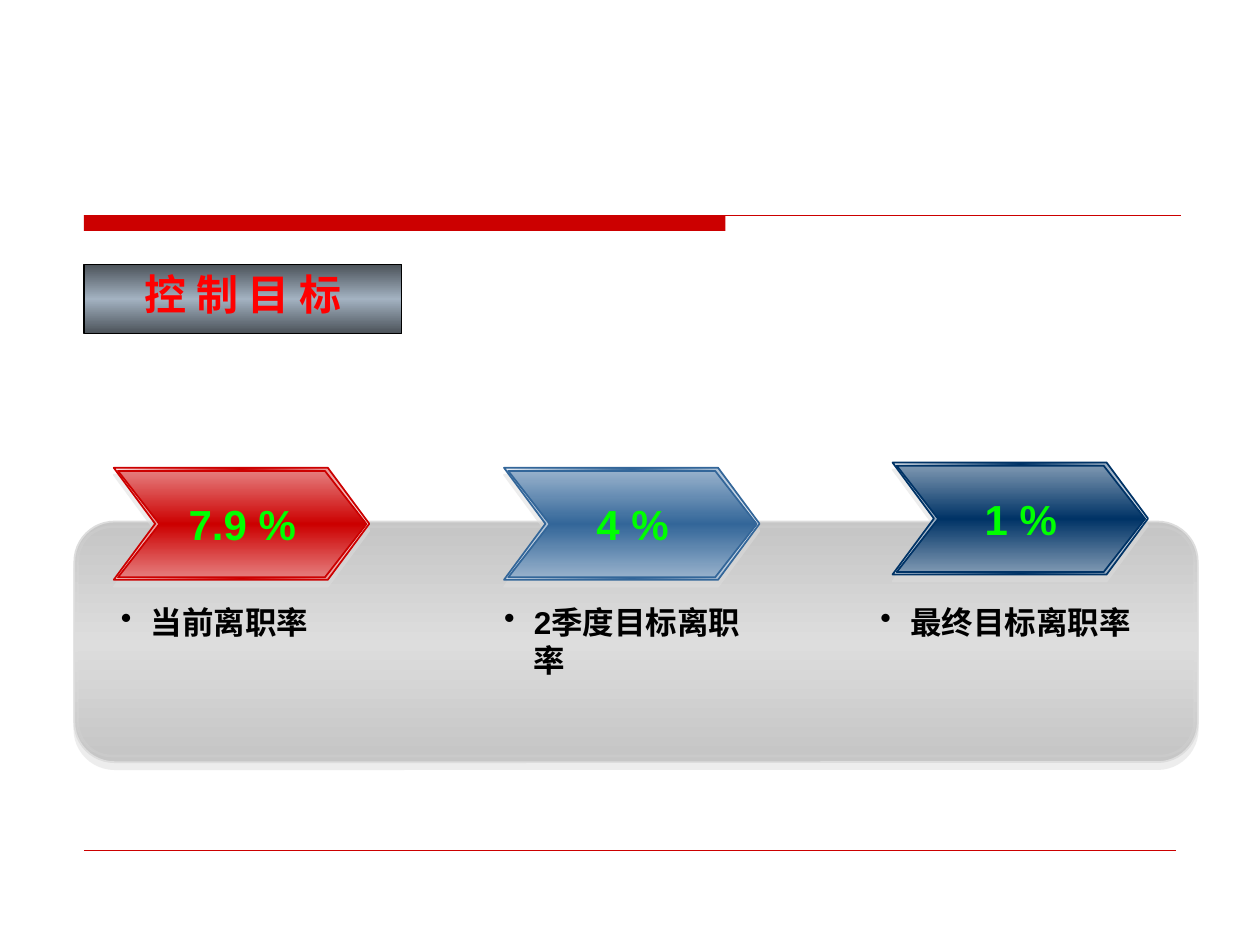
from copy import deepcopy
from typing import NamedTuple

from lxml.etree import SubElement
from pptx import Presentation
from pptx.dml.color import RGBColor
from pptx.enum.shapes import MSO_CONNECTOR, MSO_SHAPE
from pptx.enum.text import MSO_ANCHOR, MSO_AUTO_SIZE, PP_ALIGN
from pptx.oxml.ns import qn
from pptx.util import Pt

RED = RGBColor(0xCC, 0x00, 0x00)
BLUE = RGBColor(0x33, 0x66, 0x99)
NAVY = RGBColor(0x00, 0x33, 0x66)
BLACK = RGBColor(0x00, 0x00, 0x00)
TITLE_RED = RGBColor(0xFF, 0x00, 0x00)
RATE_GREEN = RGBColor(0x00, 0xFF, 0x00)
PANEL_EDGE = RGBColor(0xC6, 0xC6, 0xC6)
PANEL_MID = RGBColor(0xDD, 0xDD, 0xDD)
TITLE_EDGE = RGBColor(0x4B, 0x52, 0x59)
TITLE_MID = RGBColor(0xA3, 0xB2, 0xC1)


class Box(NamedTuple):
    left: float
    top: float
    width: float
    height: float


class Stage(NamedTuple):
    rate: str
    caption: str
    arrow_left: float
    arrow_top: float
    caption_left: float
    caption_width: float
    color: RGBColor
    tint: RGBColor
    rim: RGBColor


STAGES = [
    Stage("7.9 %", "当前离职率", 65, 267.3, 62, 138,
          RED, RGBColor(0xE5, 0x7D, 0x7D), RGBColor(0xFA, 0xE5, 0xE5)),
    Stage("4 %", "2季度目标离职率", 288, 267.3, 281, 158,
          BLUE, RGBColor(0x97, 0xB1, 0xCB), RGBColor(0xEA, 0xEF, 0xF5)),
    Stage("1 %", "最终目标离职率", 510, 264.3, 496, 176,
          NAVY, RGBColor(0x7D, 0x97, 0xB1), RGBColor(0xE5, 0xEA, 0xEF)),
]


def set_mirrored_gradient(shape, edge: RGBColor, middle: RGBColor, angle: int = 270) -> None:
    """Fill from edge to middle and back to edge; 270 runs from top to bottom."""
    shape.fill.gradient()
    shape.fill.gradient_angle = angle
    first, second = shape.fill.gradient_stops
    first.color.rgb, first.position = edge, 0
    second.color.rgb, second.position = middle, 0.5
    stop_list = shape._element.spPr.find(qn("a:gradFill")).find(qn("a:gsLst"))
    last = deepcopy(stop_list[0])
    last.set("pos", "100000")
    stop_list.append(last)


def set_line(shape, color: RGBColor, width: float) -> None:
    shape.line.color.rgb = color
    shape.line.width = Pt(width)


def add_alpha(color_element, percent: int) -> None:
    SubElement(color_element, qn("a:alpha"), val=str(percent * 1000))


def add_drop_shadow(shape) -> None:
    effects = shape._element.spPr.find(qn("a:effectLst"))
    shadow = SubElement(effects, qn("a:outerShdw"), dist=str(Pt(4)),
                        dir="5400000", algn="ctr", rotWithShape="0")
    add_alpha(SubElement(shadow, qn("a:srgbClr"), val=str(PANEL_MID)), 50)


def add_outline(shapes, preset: MSO_SHAPE, box: Box, adjustment: float):
    shape = shapes.add_shape(preset, *map(Pt, box))
    shape.adjustments[0] = adjustment
    shape.shadow.inherit = False
    return shape


def add_rule(shapes, left: float, right: float, y: float, width: float) -> None:
    rule = shapes.add_connector(MSO_CONNECTOR.STRAIGHT, Pt(left), Pt(y), Pt(right), Pt(y))
    set_line(rule, RED, width)
    SubElement(rule._element.spPr, qn("a:effectLst"))


def format_run(paragraph, font_name: str, size: float, color: RGBColor) -> None:
    font = paragraph.runs[0].font
    font.name, font.size, font.bold = font_name, Pt(size), True
    font.color.rgb = color


def set_centered_text(shape, text: str, font_name: str, color: RGBColor) -> None:
    frame = shape.text_frame
    frame.text = text
    frame.word_wrap = False
    frame.auto_size = MSO_AUTO_SIZE.NONE
    frame.vertical_anchor = MSO_ANCHOR.MIDDLE
    frame.paragraphs[0].alignment = PP_ALIGN.CENTER
    format_run(frame.paragraphs[0], font_name, 24, color)


def add_title(slide) -> None:
    title = slide.shapes.title
    title.left, title.top, title.width, title.height = map(Pt, Box(48, 151, 181.5, 39.6))
    set_mirrored_gradient(title, TITLE_EDGE, TITLE_MID)
    set_line(title, BLACK, 0.75)
    set_centered_text(title, "控 制 目 标", "DejaVu Sans", TITLE_RED)
    title.text_frame.paragraphs[0].line_spacing = 0.8


def add_header_bar(shapes) -> None:
    bar = shapes.add_shape(MSO_SHAPE.RECTANGLE, *map(Pt, Box(48, 123, 366.5, 9)))
    bar.shadow.inherit = False
    bar.fill.solid()
    bar.fill.fore_color.rgb = RED
    bar.line.fill.background()
    add_rule(shapes, 48, 674.7, 123.2, 0.75)


def add_panel(shapes) -> None:
    group = shapes.add_group_shape().shapes
    outer = add_outline(group, MSO_SHAPE.ROUNDED_RECTANGLE, Box(42.5, 298, 642, 137.5), 0.167)
    inner = add_outline(group, MSO_SHAPE.ROUNDED_RECTANGLE, Box(44.5, 301, 638, 131), 0.148)
    for layer, line_width in ((outer, 1), (inner, 1.5)):
        set_mirrored_gradient(layer, PANEL_EDGE, PANEL_MID)
        set_line(layer, PANEL_MID, line_width)
    add_drop_shadow(outer)
    add_alpha(inner.line._ln.find(qn("a:solidFill"))[0], 20)


def add_arrow(shapes, stage: Stage) -> None:
    group = shapes.add_group_shape().shapes
    left, top = stage.arrow_left, stage.arrow_top
    rim = add_outline(group, MSO_SHAPE.CHEVRON, Box(left, top, 146, 64), 0.37)
    set_mirrored_gradient(rim, stage.rim, stage.color, angle=0)
    add_drop_shadow(rim)
    face = add_outline(group, MSO_SHAPE.CHEVRON, Box(left + 2.4, top + 1.8, 142, 60.8), 0.39)
    set_mirrored_gradient(face, stage.tint, stage.color)
    for layer in (rim, face):
        set_line(layer, stage.color, 1)
    set_centered_text(face, stage.rate, "Arial", RATE_GREEN)


def add_caption(shapes, stage: Stage) -> None:
    caption = shapes.add_textbox(Pt(stage.caption_left), Pt(341.3),
                                 Pt(stage.caption_width), Pt(29))
    frame = caption.text_frame
    frame.text = stage.caption
    frame.word_wrap = True
    frame.auto_size = MSO_AUTO_SIZE.SHAPE_TO_FIT_TEXT
    paragraph = frame.paragraphs[0]
    properties = paragraph._p.get_or_add_pPr()
    properties.set("marL", str(Pt(17)))
    properties.set("indent", str(-Pt(17)))
    bullet_color = SubElement(properties, qn("a:buClr"))
    SubElement(bullet_color, qn("a:srgbClr"), val=str(BLACK))
    SubElement(properties, qn("a:buChar"), char="•")
    format_run(paragraph, "Arial", 18, BLACK)


def main() -> None:
    presentation = Presentation()
    presentation.slide_width, presentation.slide_height = Pt(720), Pt(540)
    slide = presentation.slides.add_slide(presentation.slide_layouts[5])
    add_title(slide)
    add_header_bar(slide.shapes)
    add_rule(slide.shapes, 48, 672, 486, 0.25)
    add_panel(slide.shapes)
    for stage in STAGES:
        add_arrow(slide.shapes, stage)
        add_caption(slide.shapes, stage)
    presentation.save("out.pptx")


if __name__ == "__main__":
    main()
